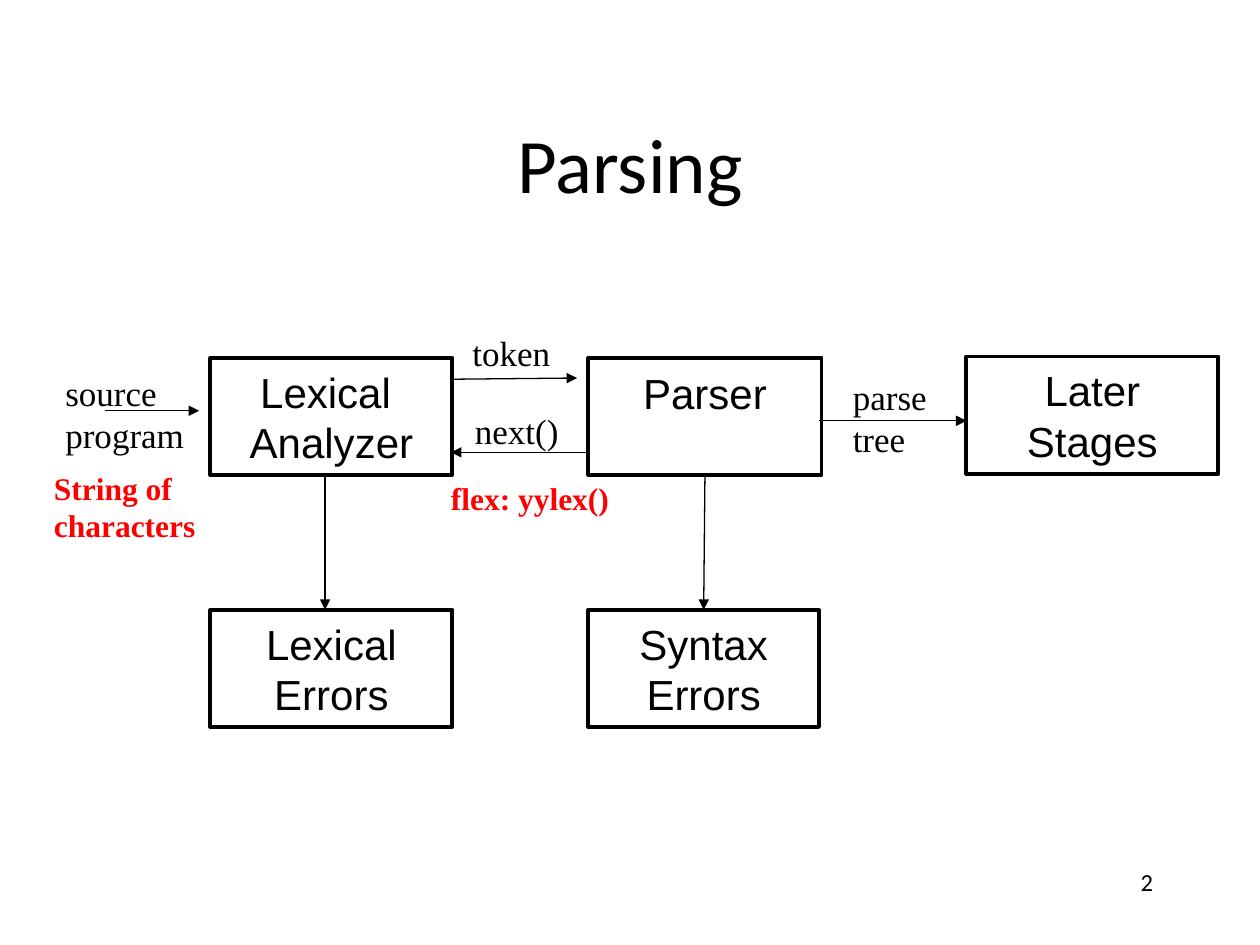
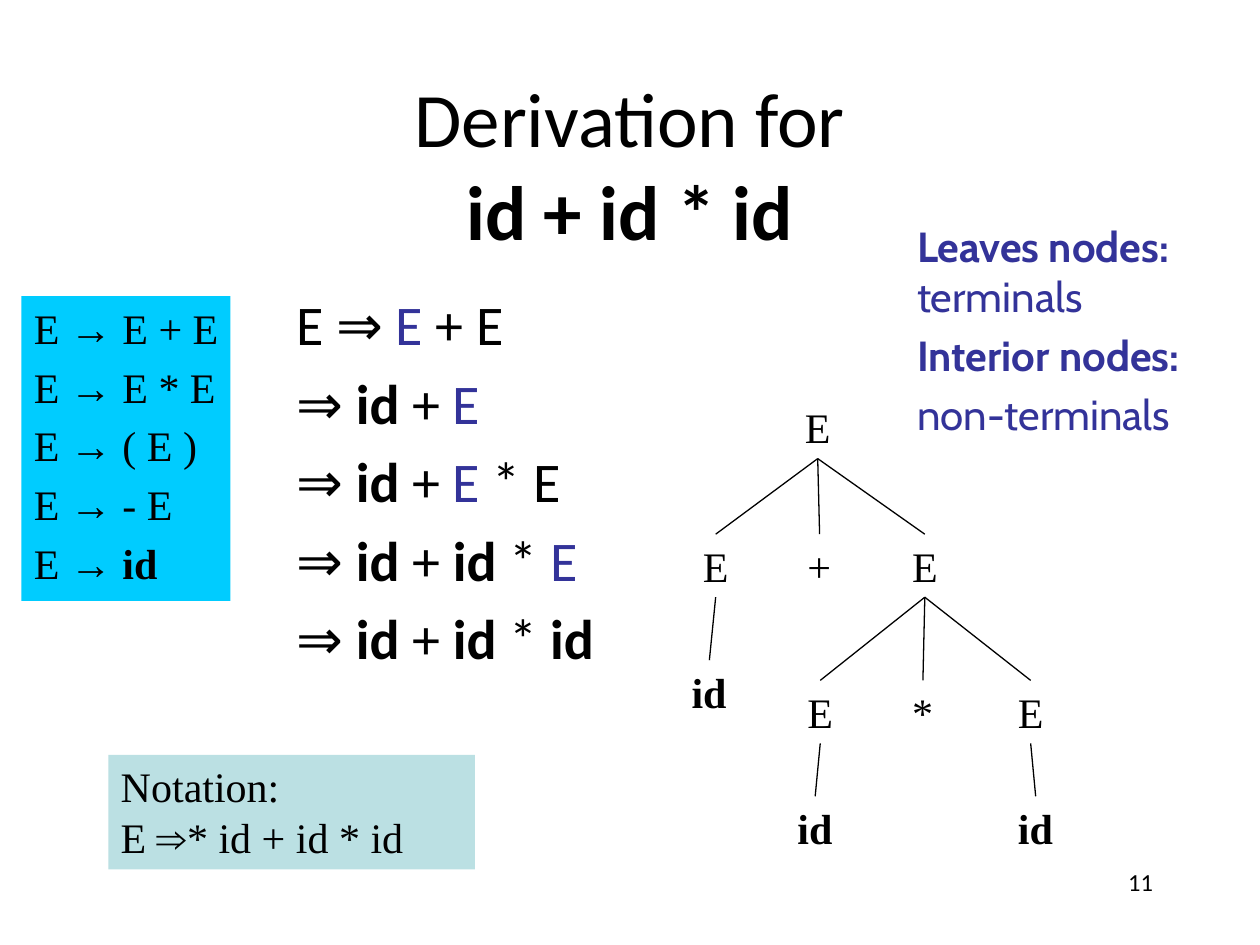
"""Build two slides on parsing: a compiler pipeline and a derivation with its parse tree."""
from lxml import etree
from pptx import Presentation
from pptx.dml.color import RGBColor
from pptx.enum.shapes import MSO_CONNECTOR, MSO_SHAPE
from pptx.enum.text import MSO_ANCHOR, MSO_AUTO_SIZE, PP_ALIGN
from pptx.oxml.ns import qn
from pptx.util import Inches, Pt

LEFT, CENTER, RIGHT = PP_ALIGN.LEFT, PP_ALIGN.CENTER, PP_ALIGN.RIGHT
TOP, MIDDLE = MSO_ANCHOR.TOP, MSO_ANCHOR.MIDDLE
NO_FIT, GROW = MSO_AUTO_SIZE.NONE, MSO_AUTO_SIZE.SHAPE_TO_FIT_TEXT
RECTANGLE, STRAIGHT = MSO_SHAPE.RECTANGLE, MSO_CONNECTOR.STRAIGHT
BOTTOM_SIDE, TOP_SIDE = 2, 0
TITLE_ONLY, TITLE_AND_BODY = 5, 1

BLACK, RED, INDIGO = "000000", "FF0000", "333399"
CYAN, PALE_TEAL = "00CCFF", "BBE0E3"

TITLE_FONT = {"name": "Calibri", "size": Pt(44)}
BODY_FONT = {"name": "Calibri", "size": Pt(32)}
NUMBER_FONT = {"name": "Calibri", "size": Pt(14)}
STAGE_FONT = {"name": "Arial", "size": Pt(24)}
FLOW_FONT = {"name": "Times New Roman", "size": Pt(20)}
REMARK_FONT = {"name": "Times New Roman", "size": Pt(18), "bold": True}
GRAMMAR_FONT = {"name": "Times New Roman", "size": Pt(24)}
NODES_FONT = {"name": "Cabin", "size": Pt(24)}

TITLE_AREA = (0.75, 0.67, 8.5, 1.25)
BODY_AREA = (2.25, 2.25, 3.33, 3.42)
NUMBER_AREA = (7.17, 6.83, 2.08, 0.5)

STAGES = {
    "lexer": ("Lexical \nAnalyzer", (1.67, 2.84, 1.92, 0.93), MIDDLE),
    "later": ("Later Stages", (7.67, 2.83, 2, 0.93), MIDDLE),
    "parser": ("Parser", (4.67, 2.84, 1.85, 0.93), TOP),
    "lexical errors": ("Lexical Errors", (1.67, 4.84, 1.92, 0.93), MIDDLE),
    "syntax errors": ("Syntax Errors", (4.67, 4.84, 1.83, 0.93), MIDDLE),
}
FLOW_ARROWS = [
    (3.58, 3.01, 4.58, 3),
    (4.67, 3.59, 3.58, 3.59),
    (0.83, 3.26, 1.58, 3.26),
    (6.5, 3.34, 7.67, 3.34),
    (2.58, 3.76, 2.58, 4.84),
]
FLOW_LABELS = [
    ("token", (3.65, 2.58, 0.85, 0.43), False),
    ("next()", (3.67, 3.2, 0.92, 0.43), False),
    ("source\nprogram", (0.42, 2.9, 1.17, 0.77), False),
    ("parse tree", (6.67, 2.93, 1, 0.77), True),
]
REMARKS = [
    ("String of characters", (0.33, 3.67, 1.36, 0.71)),
    ("flex: yylex()", (3.48, 3.75, 1.99, 0.4)),
]

BOLD = {"bold": True}
ID = ("id", BOLD)
NEXT = ("E", {"color": INDIGO})
DERIVATION = [
    ["E ⇒ ", NEXT, " + E"],
    ["⇒ ", ID, " + ", NEXT],
    ["⇒ ", ID, " + ", NEXT, " * E"],
    ["⇒ ", ID, " + ", ID, " * ", NEXT],
    ["⇒ ", ID, " + ", ID, " * ", ID],
]
ARROW = ("→ ", BOLD)
GRAMMAR = [["E ", ARROW, right] for right in ("E + E", "E * E", "( E )", "- E", ID)]
NODE_KINDS = [
    [("Leaves nodes: ", BOLD), "terminals"],
    [("Interior nodes:", BOLD)],
    ["non-terminals"],
]
NOTATION = [["Notation:\nE ⇒* id + id * id"]]

SYMBOL_WIDTHS = {"E": 0.4, "+": 0.39, "*": 0.37, "id": 0.48}
TREE = {
    "root": ("E", 6.29, 3.14, None),
    "left": ("E", 5.48, 4.24, "root"),
    "plus": ("+", 6.31, 4.24, "root"),
    "right": ("E", 7.14, 4.24, "root"),
    "left id": ("id", 5.39, 5.24, "left"),
    "first factor": ("E", 6.31, 5.4, "right"),
    "times": ("*", 7.14, 5.4, "right"),
    "second factor": ("E", 7.98, 5.4, "right"),
    "first id": ("id", 6.23, 6.32, "first factor"),
    "second id": ("id", 7.98, 6.32, "second factor"),
}


def rgb(color):
    return RGBColor.from_string(color)


def inches(values):
    return [Inches(value) for value in values]


def add_run(paragraph, part, font, color):
    text, changes = (part, {}) if isinstance(part, str) else part
    formats = {**font, "color": color, **changes}
    run_color = formats.pop("color")
    for index, line in enumerate(text.split("\n")):
        if index:
            paragraph.add_line_break()
        if not line:
            continue
        run = paragraph.add_run()
        run.text = line
        for name, value in formats.items():
            setattr(run.font, name, value)
        run.font.color.rgb = rgb(run_color)


def write(shape, paragraphs, font, color=BLACK, align=LEFT, bullets_off=False, **frame_formats):
    frame = shape.text_frame
    settings = {"word_wrap": True, "auto_size": NO_FIT, "vertical_anchor": TOP, **frame_formats}
    for name, value in settings.items():
        setattr(frame, name, value)
    for index, parts in enumerate(paragraphs):
        paragraph = frame.add_paragraph() if index else frame.paragraphs[0]
        if bullets_off:
            properties = paragraph._p.get_or_add_pPr()
            properties.set("marL", "0")
            properties.set("indent", "0")
            etree.SubElement(properties, qn("a:buNone"))
        paragraph.alignment = align
        paragraph.space_before = int(font["size"] * 0.2) if index else Pt(0)
        for part in parts:
            add_run(paragraph, part, font, color)


def place(shape, area):
    for name, value in zip(("left", "top", "width", "height"), inches(area)):
        setattr(shape, name, value)
    return shape


def add_text(slide, area, paragraphs, font, **formats):
    shape = slide.shapes.add_textbox(*inches(area))
    write(shape, paragraphs, font, **formats)
    return shape


def add_box(slide, area, fill=None, outlined=False):
    shape = slide.shapes.add_shape(RECTANGLE, *inches(area))
    shape.shadow.inherit = False
    if fill:
        shape.fill.solid()
        shape.fill.fore_color.rgb = rgb(fill)
    else:
        shape.fill.background()
    if outlined:
        shape.line.color.rgb = rgb(BLACK)
        shape.line.width = Pt(2.25)
    else:
        shape.line.fill.background()
    return shape


def add_line(slide, ends=(0, 0, 0, 0), joined=None, arrow=False):
    connector = slide.shapes.add_connector(STRAIGHT, *inches(ends))
    if joined:
        connector.begin_connect(joined[0], BOTTOM_SIDE)
        connector.end_connect(joined[1], TOP_SIDE)
    connector.line.color.rgb = rgb(BLACK)
    connector.line.width = Pt(0.75)
    properties = connector.element.spPr
    if arrow:
        etree.SubElement(properties.find(qn("a:ln")), qn("a:tailEnd"), type="triangle")
    etree.SubElement(properties, qn("a:effectLst"))


def add_slide(presentation, layout, title, number):
    slide = presentation.slides.add_slide(presentation.slide_layouts[layout])
    write(place(slide.shapes.title, TITLE_AREA), [title], TITLE_FONT,
          align=CENTER, vertical_anchor=MIDDLE)
    add_text(slide, NUMBER_AREA, [[number]], NUMBER_FONT, align=RIGHT)
    return slide


def build_pipeline(presentation):
    slide = add_slide(presentation, TITLE_ONLY, ["Parsing"], "2")
    boxes = {}
    for name, (text, area, anchor) in STAGES.items():
        boxes[name] = add_box(slide, area, outlined=True)
        write(boxes[name], [[text]], STAGE_FONT, align=CENTER, vertical_anchor=anchor,
              margin_top=Inches(0.08), margin_bottom=Inches(0.08))
    for ends in FLOW_ARROWS:
        add_line(slide, ends, arrow=True)
    add_line(slide, joined=(boxes["parser"], boxes["syntax errors"]), arrow=True)
    for text, area, wrap in FLOW_LABELS:
        add_text(slide, area, [[text]], FLOW_FONT, word_wrap=wrap)
    for text, area in REMARKS:
        add_text(slide, area, [[text]], REMARK_FONT, color=RED, auto_size=GROW)


def build_derivation(presentation):
    title = ["Derivation for\n", ("id + id * id", BOLD)]
    slide = add_slide(presentation, TITLE_AND_BODY, title, "11")
    write(place(slide.placeholders[1], BODY_AREA), DERIVATION, BODY_FONT, bullets_off=True)
    nodes = {}
    for name, (symbol, left, top, parent) in TREE.items():
        area = (left, top, SYMBOL_WIDTHS[symbol], 0.5)
        part = ID if symbol == "id" else symbol
        nodes[name] = add_text(slide, area, [[part]], GRAMMAR_FONT, word_wrap=False, auto_size=GROW)
        if parent:
            add_line(slide, joined=(nodes[parent], nodes[name]))
    write(add_box(slide, (0.17, 2.35, 1.66, 2.42), CYAN), GRAMMAR, GRAMMAR_FONT, word_wrap=False)
    add_text(slide, (7.18, 1.7, 3.33, 1.34), NODE_KINDS, NODES_FONT, color=INDIGO)
    write(add_box(slide, (0.86, 5.99, 2.91, 0.91), PALE_TEAL), NOTATION, GRAMMAR_FONT)


def main():
    presentation = Presentation()
    presentation.slide_width, presentation.slide_height = inches((10, 7.5))
    build_pipeline(presentation)
    build_derivation(presentation)
    presentation.save("out.pptx")


if __name__ == "__main__":
    main()
